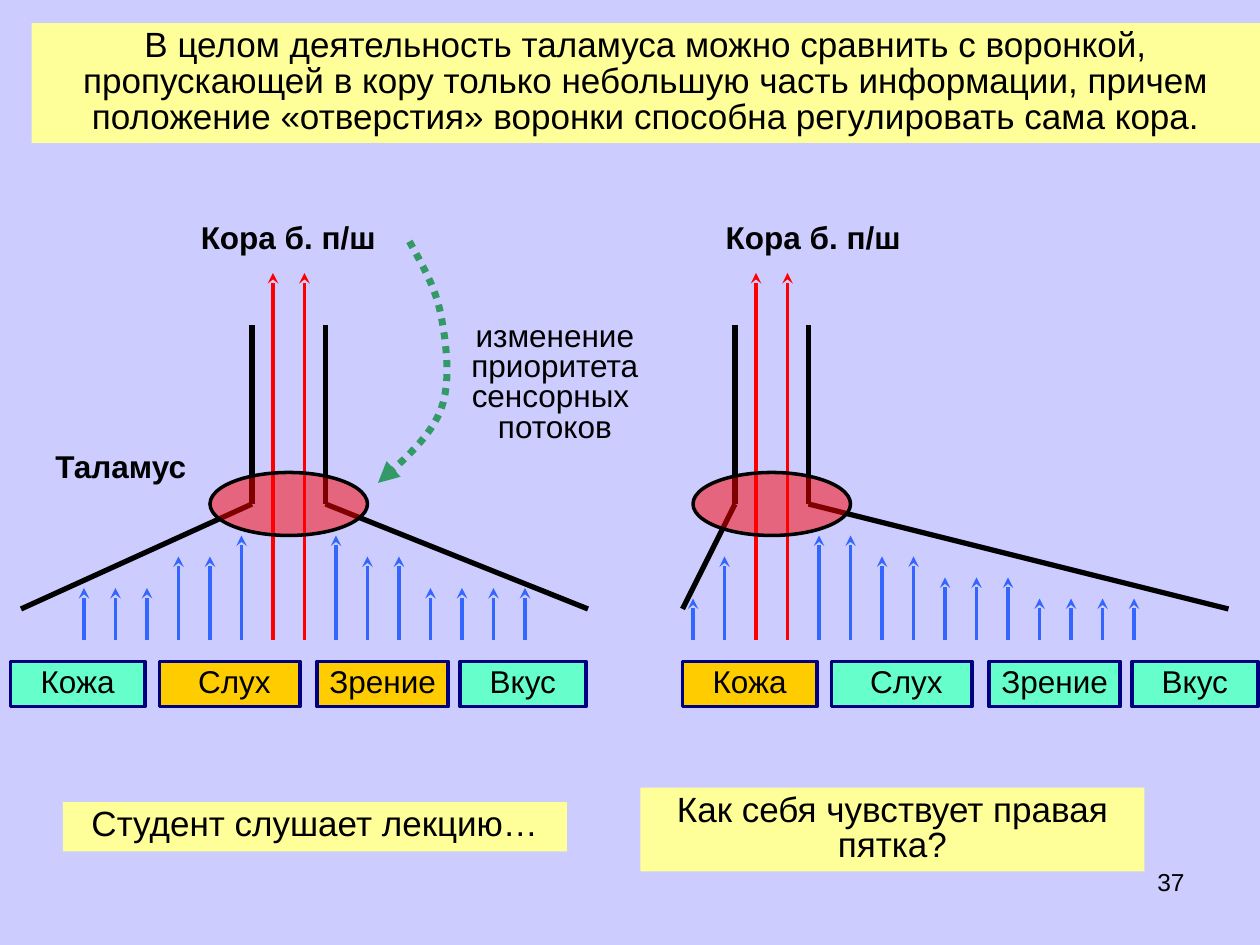
"""Builds a slide that compares the thalamus to a funnel with an adjustable opening."""
from lxml.etree import SubElement
from pptx import Presentation
from pptx.dml.color import RGBColor
from pptx.enum.dml import MSO_LINE
from pptx.enum.shapes import MSO_CONNECTOR, MSO_SHAPE
from pptx.enum.text import MSO_ANCHOR, PP_ALIGN
from pptx.oxml.ns import qn
from pptx.util import Inches, Pt

COLORS = {
    "background": "CCCCFF", "note": "FFFF99", "idle": "66FFCC", "active": "FFCC00",
    "border": "000080", "ink": "000000", "passed": "FF0000", "blocked": "3366FF",
    "feedback": "339966",
}
CELL = Inches(1) / 12
COLOR = {name: RGBColor.from_string(value) for name, value in COLORS.items()}

presentation = Presentation()
presentation.slide_width, presentation.slide_height = Inches(10), Inches(7.5)
slide = presentation.slides.add_slide(presentation.slide_layouts[6])
slide.background.fill.solid()
slide.background.fill.fore_color.rgb = COLOR["background"]


def add_text(text, left, top, width, height, size=18, bold=False, fill=None, border=None,
             align=PP_ALIGN.CENTER, spacing=1.0, wrap=True, indent=0.1):
    box = [round(value * CELL) for value in (left, top, width, height)]
    if fill:
        shape = slide.shapes.add_shape(MSO_SHAPE.RECTANGLE, *box)
        shape.shadow.inherit = False
        shape.fill.solid()
        shape.fill.fore_color.rgb = COLOR[fill]
        if border:
            shape.line.color.rgb = COLOR[border]
            shape.line.width = Pt(2)
        else:
            shape.line.fill.background()
    else:
        shape = slide.shapes.add_textbox(*box)
    frame = shape.text_frame
    frame.word_wrap = wrap
    frame.vertical_anchor = MSO_ANCHOR.TOP
    frame.margin_left = Inches(indent)
    frame.text = text
    for paragraph in frame.paragraphs:
        paragraph.alignment = align
        paragraph.line_spacing = spacing
        paragraph.font.name = "Arial"
        paragraph.font.size = Pt(size)
        paragraph.font.bold = bold
        paragraph.font.color.rgb = COLOR["ink"]


def add_line(start, end, color, width, arrow=False):
    ends = [round(value * CELL) for value in (*start, *end)]
    connector = slide.shapes.add_connector(MSO_CONNECTOR.STRAIGHT, *ends)
    connector.line.color.rgb = COLOR[color]
    connector.line.width = Pt(width)
    if arrow:
        SubElement(connector.line._get_or_add_ln(), qn("a:tailEnd"), type="stealth")
    SubElement(connector._element.spPr, qn("a:effectLst"))


add_text("37", 86, 82, 28, 6.2, size=14, align=PP_ALIGN.RIGHT)
add_text("В целом деятельность таламуса можно сравнить с воронкой, пропускающей в кору "
         "только небольшую часть информации, причем положение «отверстия» воронки "
         "способна регулировать сама кора.",
         3, 2.2, 117, 11.4, size=20, fill="note", spacing=0.85)

SENSES = [("Кожа", 0, 12.8, 0.1), ("Слух", 14.2, 13.4, 0.17),
          ("Зрение", 29.2, 12.5, 0.1), ("Вкус", 42.8, 12, 0.1)]
FUNNELS = [
    {"left": 1, "active": ("Слух", "Зрение"), "neck": 24, "rim": (2, 56),
     "label": 17.9, "first": 8, "thalamus": 20,
     "tops": [56] * 3 + [53] * 2 + [51] + [26] * 2 + [51] + [53] * 2 + [56] * 4},
    {"left": 65, "active": ("Кожа",), "neck": 70, "rim": (65, 117),
     "label": 67.9, "first": 66, "thalamus": 66,
     "tops": [57, 53] + [26] * 2 + [51] * 2 + [53] * 2 + [55] * 3 + [57] * 4},
]
for funnel in FUNNELS:
    for sense, offset, width, indent in SENSES:
        add_text(sense, funnel["left"] + offset, 63, width, 4.3, border="border",
                 fill="active" if sense in funnel["active"] else "idle",
                 spacing=0.85, wrap=False, indent=indent)
    for neck, rim in zip((funnel["neck"], funnel["neck"] + 7), funnel["rim"]):
        add_line((neck, 31), (neck, 48), "ink", 3)
        add_line((neck, 48), (rim, 58), "ink", 3)
    for index, top in enumerate(funnel["tops"]):
        column = funnel["first"] + 3 * index
        add_line((column, 61), (column, top), "passed" if top == 26 else "blocked", 2, arrow=True)
    add_text("Кора б. п/ш", funnel["label"], 20.2, 19.1, 4.8, bold=True, wrap=False)
    thalamus = slide.shapes.add_shape(
        MSO_SHAPE.OVAL, *[round(value * CELL) for value in (funnel["thalamus"], 45, 15, 6)])
    thalamus.shadow.inherit = False
    thalamus.fill.solid()
    thalamus.fill.fore_color.rgb = COLOR["passed"]
    color_element = thalamus._element.spPr.find(qn("a:solidFill"))[0]
    SubElement(color_element, qn("a:alpha"), val="50000")
    thalamus.line.color.rgb = COLOR["ink"]
    thalamus.line.width = Pt(2)

add_text("Таламус", 4, 42, 15, 4.8, bold=True, wrap=False)
add_text("Студент слушает лекцию…", 6, 76.4, 48, 4.7, size=20, fill="note", spacing=0.85)
add_text("Как себя чувствует правая пятка?", 61, 75, 48, 8, size=20, fill="note", spacing=0.85)

CURVES = [((39, 23), (40.2, 25.2), (41.5, 27.4), (42, 30)),
          ((42, 30), (42.5, 32.6), (43, 36.4), (42, 39)),
          ((42, 39), (41, 41.6), (38.5, 43.8), (36, 46))]
STEPS = 12
points = [CURVES[0][0]]
for curve in CURVES:
    for step in range(1, STEPS + 1):
        share = step / STEPS
        weights = ((1 - share) ** 3, 3 * share * (1 - share) ** 2,
                   3 * share ** 2 * (1 - share), share ** 3)
        points.append(tuple(sum(weight * point[axis] for weight, point in zip(weights, curve))
                            for axis in (0, 1)))
builder = slide.shapes.build_freeform(*[round(value * CELL) for value in points[0]])
builder.add_line_segments([(round(x * CELL), round(y * CELL)) for x, y in points[1:]], close=False)
feedback = builder.convert_to_shape()
feedback.shadow.inherit = False
feedback.fill.background()
feedback.line.color.rgb = COLOR["feedback"]
feedback.line.width = Pt(4)
feedback.line.dash_style = MSO_LINE.ROUND_DOT
outline = feedback.line._get_or_add_ln()
outline.find(qn("a:prstDash")).set("val", "sysDot")
SubElement(outline, qn("a:tailEnd"), type="triangle")
add_text("изменение\nприоритета\nсенсорных \nпотоков", 43.6, 30.2, 18.5, 12.7,
         spacing=0.8, wrap=False)

presentation.save("out.pptx")
